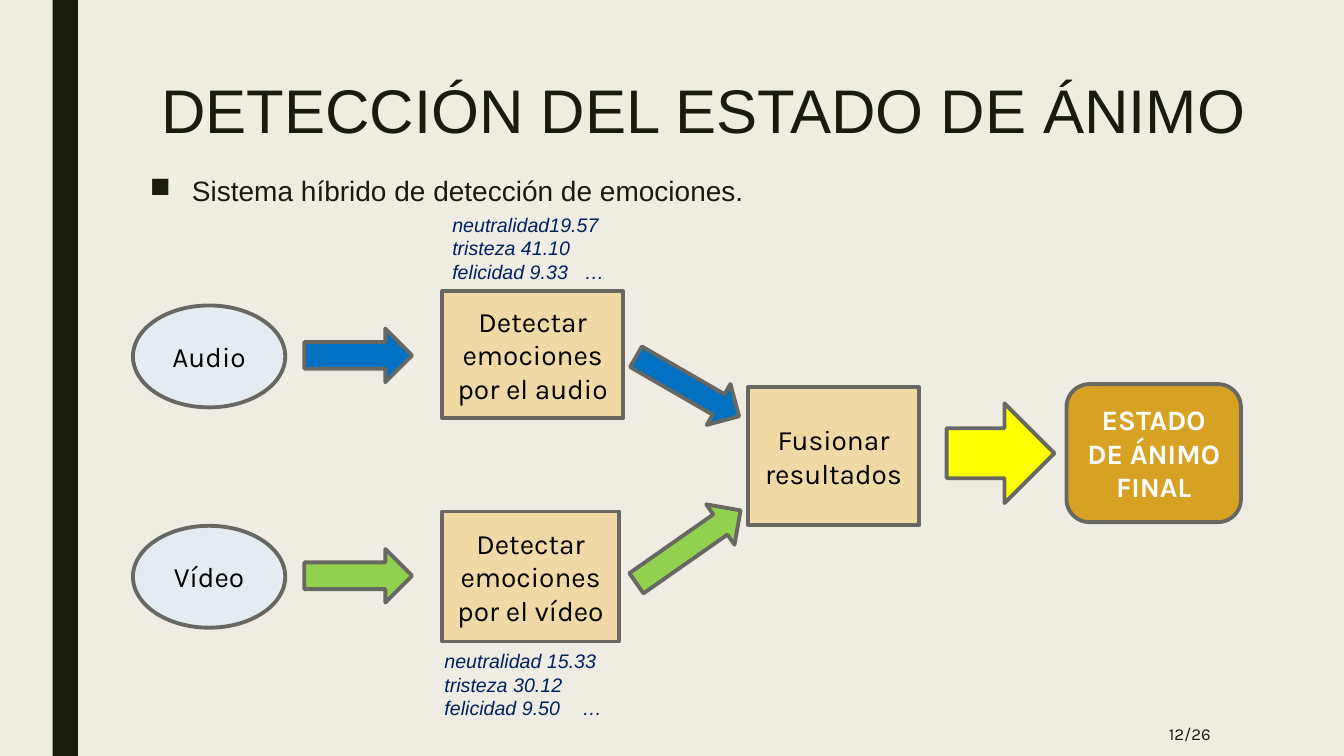
from lxml import etree
from pptx import Presentation
from pptx.dml.color import RGBColor
from pptx.enum.shapes import MSO_SHAPE
from pptx.enum.text import MSO_ANCHOR, PP_ALIGN
from pptx.oxml.ns import qn
from pptx.util import Pt

CREAM = RGBColor(0xEF, 0xED, 0xE3)
INK = RGBColor(0x19, 0x1B, 0x0E)
OUTLINE = RGBColor(0x68, 0x68, 0x63)
PALE_BLUE = RGBColor(0xE4, 0xEC, 0xF1)
SAND = RGBColor(0xF0, 0xD9, 0xA5)
GOLD = RGBColor(0xD7, 0xA1, 0x24)
BLUE = RGBColor(0x00, 0x70, 0xC0)
GREEN = RGBColor(0x92, 0xD0, 0x50)
YELLOW = RGBColor(0xFF, 0xFF, 0x00)
NAVY = RGBColor(0x00, 0x20, 0x60)
BLACK = RGBColor(0, 0, 0)
WHITE = RGBColor(0xFF, 0xFF, 0xFF)


def set_font(para, name, size, color, bold=False, italic=False):
    font = para.font
    font.name, font.size, font.bold, font.italic = name, Pt(size), bold, italic
    font.color.rgb = color


def add_text(page, box, lines):
    """Add a wrapping text box; box is left, top, width, height in points."""
    frame = page.shapes.add_textbox(*map(Pt, box)).text_frame
    frame.word_wrap = True
    frame.text = "\n".join(lines)
    return frame


def add_block(page, kind, box, fill, label="", color=BLACK, bold=False):
    shape = page.shapes.add_shape(kind, *map(Pt, box))
    shape.shadow.inherit = False
    shape.fill.solid()
    shape.fill.fore_color.rgb = fill
    shape.line.color.rgb = OUTLINE
    shape.line.width = Pt(2.75)
    if label:
        frame = shape.text_frame
        frame.word_wrap = True
        frame.vertical_anchor = MSO_ANCHOR.MIDDLE
        frame.text = label
        para = frame.paragraphs[0]
        para.alignment = PP_ALIGN.CENTER
        set_font(para, "Karla", 20, color, bold)
    return shape


def draw_frame(page, box):
    """Background, side bar, title, bullet and page number."""
    left, top, width, height = box
    page.background.fill.solid()
    page.background.fill.fore_color.rgb = CREAM

    bar = page.shapes.add_shape(MSO_SHAPE.RECTANGLE, Pt(left + 37.6), Pt(top), Pt(18), Pt(height))
    bar.shadow.inherit = False
    bar.fill.solid()
    bar.fill.fore_color.rgb = INK
    bar.line.fill.background()

    # Title
    frame = add_text(page, (left + 108, top + 54, 813.6, 60), ["DETECCIÓN DEL ESTADO DE ÁNIMO"])
    para = frame.paragraphs[0]
    para.line_spacing = 0.89
    set_font(para, "Arial", 44, INK)

    # Bullet
    frame = add_text(page, (left + 100, top + 122.4, 793.4, 55), ["Sistema híbrido de detección de emociones."])
    para = frame.paragraphs[0]
    para.line_spacing = 0.94
    props = para._p.get_or_add_pPr()
    props.set("marL", str(Pt(30)))
    props.set("indent", str(Pt(-30)))
    etree.SubElement(props, qn("a:buChar")).set("char", "■")
    set_font(para, "Arial", 20, INK)

    # Page number
    frame = add_text(page, (left + width - 214, top + height - 31.7, 126, 31.7), ["12/26"])
    frame.vertical_anchor = MSO_ANCHOR.MIDDLE
    para = frame.paragraphs[0]
    para.alignment = PP_ALIGN.RIGHT
    set_font(para, "Karla", 12, INK)


def draw_lane(page, box, source, task, color, detector_size, exit_arrow):
    """Source, arrow, detector and the tilted arrow towards the fusion."""
    left, top = box
    add_block(page, MSO_SHAPE.OVAL, (left, top + 10.2, 108.8, 72.8), PALE_BLUE, source)
    add_block(page, MSO_SHAPE.RIGHT_ARROW, (left + 122.4, top + 26.8, 77, 38.2), color)
    add_block(page, MSO_SHAPE.RECTANGLE, (left + 221, top, *detector_size), SAND, task)
    x, y, width, height, angle = exit_arrow
    arrow = add_block(page, MSO_SHAPE.RIGHT_ARROW, (left + x, top + y, width, height), color)
    arrow.rotation = angle


def draw_scores(page, box, lines, tab):
    """Emotion scores, with the ellipsis set at a tab stop."""
    for para in add_text(page, box, lines).paragraphs:
        stops = etree.SubElement(para._p.get_or_add_pPr(), qn("a:tabLst"))
        etree.SubElement(stops, qn("a:tab"), pos=str(Pt(tab)), algn="l")
        set_font(para, "Arial", 14, NAVY, italic=True)


def draw_outcome(page, box):
    """Fusion, yellow arrow and final mood."""
    left, top = box
    add_block(page, MSO_SHAPE.RECTANGLE, (left, top + 2.2, 122.4, 98.6), SAND, "Fusionar resultados")
    add_block(page, MSO_SHAPE.RIGHT_ARROW, (left + 142, top + 13.7, 77, 71.3), YELLOW)
    add_block(page, MSO_SHAPE.ROUNDED_RECTANGLE, (left + 227.6, top, 124.6, 98.6), GOLD,
              "ESTADO DE ÁNIMO FINAL", WHITE, bold=True)


def main():
    deck = Presentation()
    deck.slide_width, deck.slide_height = Pt(960), Pt(540)
    page = deck.slides.add_slide(deck.slide_layouts[6])
    draw_frame(page, (0, 0, 960, 540))
    draw_lane(page, (95, 208), "Audio", "Detectar emociones por el audio", BLUE,
              (129, 90.8), (353.6, 51.2, 85, 33.8, 30))
    draw_lane(page, (95, 365.4), "Vídeo", "Detectar emociones por el vídeo", GREEN,
              (126, 92.8), (351.4, 7.6, 90.8, 35.2, 325))
    draw_outcome(page, (534.2, 274.4))
    draw_scores(page, (316, 148.4, 180.8, 58.4),
                ["neutralidad19.57", "tristeza 41.10", "felicidad 9.33\t…"], 94.5)
    draw_scores(page, (310.4, 460, 180.8, 58.4),
                ["neutralidad 15.33", "tristeza 30.12", "felicidad 9.50\t…"], 98.5)
    deck.save("out.pptx")


if __name__ == "__main__":
    main()
